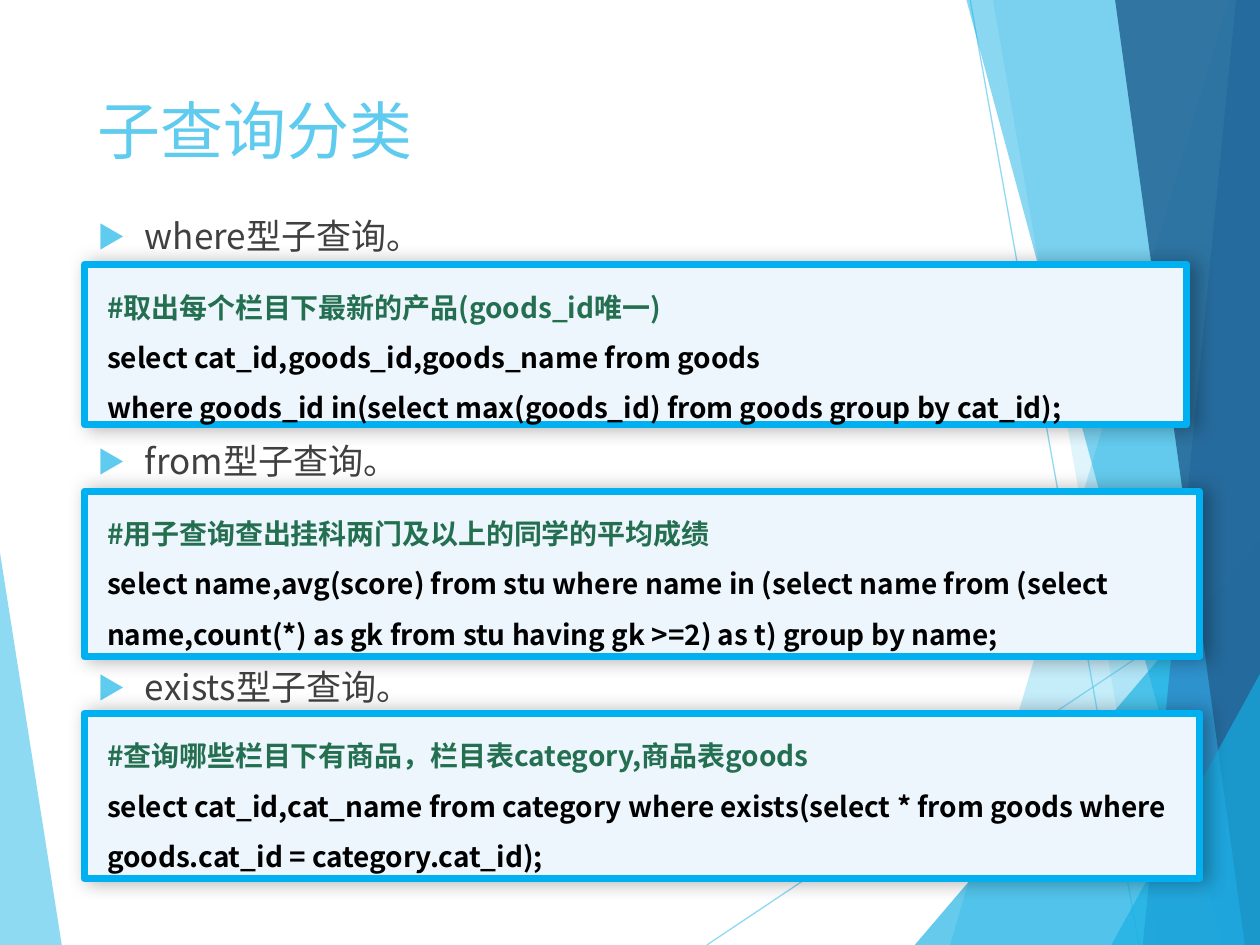
from dataclasses import dataclass

from lxml.etree import SubElement
from pptx import Presentation
from pptx.dml.color import RGBColor
from pptx.enum.shapes import MSO_CONNECTOR, MSO_SHAPE
from pptx.enum.text import MSO_ANCHOR, MSO_AUTO_SIZE, PP_ALIGN
from pptx.oxml.ns import qn
from pptx.util import Inches, Pt

FONT = "Noto Sans CJK SC"
SKY, CYAN, BLUE, NAVY = "5FCBEF", "17B0E4", "2E83C3", "226292"
WIDTH, HEIGHT = Inches(10), Inches(7.5)


@dataclass
class Facet:
    """A translucent polygon with corners in percent of the slide."""
    color: str
    opacity: int
    corners: list[tuple[float, float]]


@dataclass
class CodeBox:
    """A framed query with its place in percent of the slide."""
    top: float
    width: float
    height: float
    comment: str
    code: list[str]


FACETS = [
    Facet(SKY, 36, [(97.5, 0), (75.4, 100), (100, 100), (100, 0)]),
    Facet(SKY, 20, [(78.8, 0), (91.9, 100), (100, 100), (100, 0)]),
    Facet(CYAN, 66, [(72.6, 100), (100, 57.2), (100, 100)]),
    Facet(CYAN, 50, [(76.7, 0), (97, 100), (100, 100), (100, 0)]),
    Facet(BLUE, 70, [(98.1, 0), (90.7, 100), (100, 100), (100, 0)]),
    Facet(NAVY, 82, [(88.5, 0), (98.8, 100), (100, 100), (100, 0)]),
    Facet(CYAN, 66, [(88.2, 100), (100, 71.3), (100, 100)]),
]
LEFT_FACET = Facet(SKY, 70, [(0, 58.5), (4.9, 100), (0, 100)])
RAYS = [((56.1, 100), (100, 60.9)), ((77, 0), (90.4, 100))]
TOPICS = ["where型子查询。", "from型子查询。", "exists型子查询。"]
CODE_BOXES = [
    CodeBox(28, 87.5, 16.93, "#取出每个栏目下最新的产品(goods_id唯一)",
            ["select cat_id,goods_id,goods_name from goods",
             "where goods_id in(select max(goods_id) from goods group by cat_id);"]),
    CodeBox(52, 88.5, 17.47, "#用子查询查出挂科两门及以上的同学的平均成绩",
            ["select name,avg(score) from stu where name in (select name from "
             "(select name,count(*) as gk from stu having gk >=2) as t) group by name;"]),
    CodeBox(75.5, 88.5, 17.47, "#查询哪些栏目下有商品，栏目表category,商品表goods",
            ["select cat_id,cat_name from category where exists(select * from goods "
             "where goods.cat_id = category.cat_id);"]),
]


def rgb(color: str) -> RGBColor:
    """Turn a hex string into a colour."""
    return RGBColor.from_string(color)


def x(share: float) -> int:
    """Turn a percentage of the slide width into a length."""
    return round(WIDTH * share / 100)


def y(share: float) -> int:
    """Turn a percentage of the slide height into a length."""
    return round(HEIGHT * share / 100)


def set_opacity(fill, color: str, opacity: int) -> None:
    """Fill with a solid colour at the given opacity."""
    fill.solid()
    fill.fore_color.rgb = rgb(color)
    clr = next(fill._xPr.iter(qn("a:srgbClr")))
    SubElement(clr, qn("a:alpha"), val=str(opacity * 1000))


def add_facet(s, facet: Facet) -> None:
    """Draw one background polygon."""
    first, *rest = [(x(px), y(py)) for px, py in facet.corners]
    builder = s.shapes.build_freeform(*first)
    builder.add_line_segments(rest, close=True)
    sp = builder.convert_to_shape()
    sp.shadow.inherit = False
    sp.line.fill.background()
    set_opacity(sp.fill, facet.color, facet.opacity)


def add_ray(s, start: tuple, end: tuple) -> None:
    """Draw one thin background line."""
    line = s.shapes.add_connector(
        MSO_CONNECTOR.STRAIGHT, x(start[0]), y(start[1]), x(end[0]), y(end[1]))
    line.line.width = Pt(0.75)
    set_opacity(line.line.fill, SKY, 70)
    SubElement(line.element.spPr, qn("a:effectLst"))


def write(p, text: str, size: int, color: str, bold: bool = False) -> None:
    """Write a left-aligned run into a paragraph."""
    p.alignment = PP_ALIGN.LEFT
    r = p.add_run()
    r.text = text
    r.font.size, r.font.bold, r.font.name = Pt(size), bold, FONT
    r.font.color.rgb = rgb(color)
    SubElement(r.font._element, qn("a:ea"), typeface=FONT)


def place(sp, left: float, top: float, width: float, height: float) -> None:
    """Move a placeholder and bring it in front of the background."""
    sp.left, sp.top, sp.width, sp.height = x(left), y(top), x(width), y(height)
    sp.text_frame.auto_size = MSO_AUTO_SIZE.NONE
    sp.element.getparent().append(sp.element)


def add_topic(p, text: str, gap: float) -> None:
    """Write one bulleted topic."""
    p.line_spacing, p.space_before = Pt(24), Pt(gap)
    pPr = p._p.get_or_add_pPr()
    pPr.set("marL", str(Inches(0.38)))
    pPr.set("indent", str(-Inches(0.38)))
    SubElement(SubElement(pPr, qn("a:buClr")), qn("a:srgbClr"), val=SKY)
    SubElement(pPr, qn("a:buSzPct"), val="80000")
    SubElement(pPr, qn("a:buFont"), typeface=FONT)
    SubElement(pPr, qn("a:buChar"), char="▶")
    write(p, text, 20, "404040")


def add_code_box(s, box: CodeBox) -> None:
    """Draw one framed query."""
    sp = s.shapes.add_shape(MSO_SHAPE.ROUNDED_RECTANGLE, x(6.7), y(box.top),
                            x(box.width), y(box.height))
    sp.adjustments[0] = 0
    sp.fill.solid()
    sp.fill.fore_color.rgb = rgb("EDF5FD")
    sp.line.color.rgb = rgb("00B0F0")
    sp.line.width = Pt(4)
    sp.shadow.inherit = False
    effects = sp.element.spPr.find(qn("a:effectLst"))
    shadow = SubElement(effects, qn("a:outerShdw"), blurRad=str(Pt(10)), dist=str(Pt(3)), dir="0")
    clr = SubElement(shadow, qn("a:srgbClr"), val="000000")
    SubElement(clr, qn("a:alpha"), val="30000")
    tf = sp.text_frame
    tf.word_wrap = True
    tf.vertical_anchor = MSO_ANCHOR.TOP
    tf.margin_left, tf.margin_top = Inches(0.18), Inches(0.07)
    for i, text in enumerate([box.comment, *box.code]):
        p = tf.add_paragraph() if i else tf.paragraphs[0]
        p.line_spacing = Pt(28.7)
        write(p, text, 16, "000000" if i else "236F50", bold=True)


def main() -> None:
    """Build the slide and save it."""
    prs = Presentation()
    prs.slide_width, prs.slide_height = WIDTH, HEIGHT
    s = prs.slides.add_slide(prs.slide_layouts[1])
    add_facet(s, LEFT_FACET)
    for start, end in RAYS:
        add_ray(s, start, end)
    for facet in FACETS:
        add_facet(s, facet)
    title, body = s.shapes.title, s.placeholders[1]
    place(title, 6.7, 8.93, 84.3, 9.47)
    title.text_frame.vertical_anchor = MSO_ANCHOR.MIDDLE
    write(title.text_frame.paragraphs[0], "子查询分类", 36, SKY)
    place(body, 6.7, 22, 84.3, 64)
    tf = body.text_frame
    for i, topic in enumerate(TOPICS):
        p = tf.add_paragraph() if i else tf.paragraphs[0]
        add_topic(p, topic, 105 if i else 0)
    for box in CODE_BOXES:
        add_code_box(s, box)
    prs.save("out.pptx")


main()
